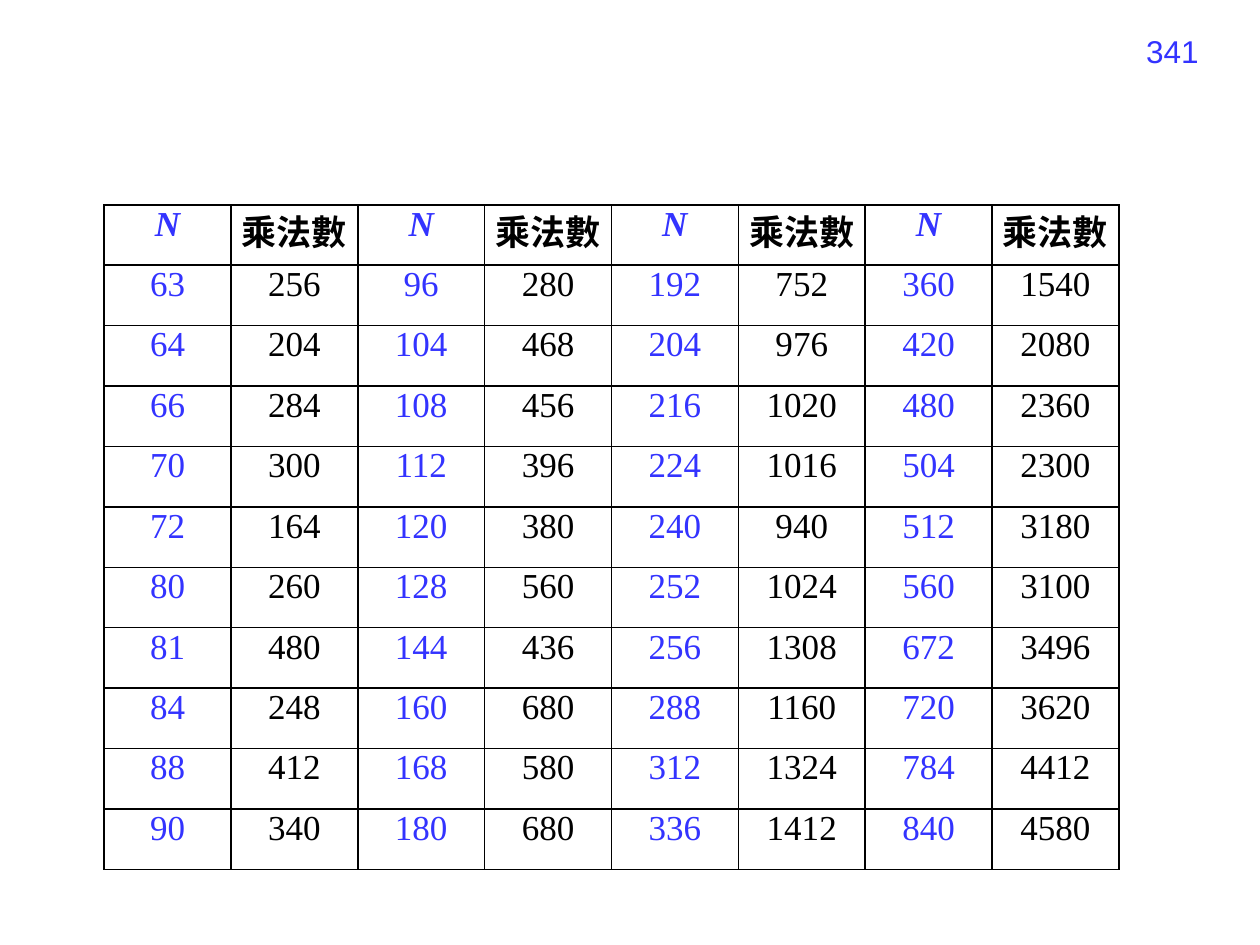
from lxml.etree import SubElement
from pptx import Presentation
from pptx.dml.color import RGBColor
from pptx.enum.text import MSO_ANCHOR, PP_ALIGN
from pptx.oxml.ns import qn
from pptx.util import Pt

BLUE = RGBColor(0x33, 0x33, 0xFF)
BLACK = RGBColor(0, 0, 0)

PAIRS_PER_ROW = 4
# Each group lists (N, number of multiplications) from top to bottom.
GROUPS = [
    [(63, 256), (64, 204), (66, 284), (70, 300), (72, 164),
     (80, 260), (81, 480), (84, 248), (88, 412), (90, 340)],
    [(96, 280), (104, 468), (108, 456), (112, 396), (120, 380),
     (128, 560), (144, 436), (160, 680), (168, 580), (180, 680)],
    [(192, 752), (204, 976), (216, 1020), (224, 1016), (240, 940),
     (252, 1024), (256, 1308), (288, 1160), (312, 1324), (336, 1412)],
    [(360, 1540), (420, 2080), (480, 2360), (504, 2300), (512, 3180),
     (560, 3100), (672, 3496), (720, 3620), (784, 4412), (840, 4580)],
]


class SlideBuilder:
    number_font = "Arial"
    table_font = "Times New Roman"
    number_size = Pt(18)
    table_size = Pt(20)
    border_width = Pt(1)
    side_margin = Pt(3.6)

    def __init__(self, page):
        self.page = page

    def add_span(self, para, text, font, size, color, bold=False, italic=False):
        span = para.add_run()
        span.text = text
        span.font.name = font
        span.font.size = size
        span.font.color.rgb = color
        span.font.bold = bold
        span.font.italic = italic

    def page_number(self, text, left, top, width, height):
        box = self.page.shapes.add_textbox(left, top, width, height)
        box.text_frame.word_wrap = True
        para = box.text_frame.paragraphs[0]
        para.alignment = PP_ALIGN.RIGHT
        self.add_span(para, text, self.number_font, self.number_size, BLUE)

    def border(self, cell):
        properties = cell._tc.get_or_add_tcPr()
        for position, side in enumerate(("a:lnL", "a:lnR", "a:lnT", "a:lnB")):
            line = SubElement(properties, qn(side), w=str(self.border_width))
            fill = SubElement(line, qn("a:solidFill"))
            SubElement(fill, qn("a:srgbClr"), val=str(BLACK))
            # Borders must come before the cell's fill.
            properties.insert(position, line)

    def cell(self, cell, text, color, bold, italic):
        cell.margin_left = cell.margin_right = self.side_margin
        cell.margin_top = cell.margin_bottom = 0
        cell.vertical_anchor = MSO_ANCHOR.TOP
        cell.fill.background()
        self.border(cell)
        para = cell.text_frame.paragraphs[0]
        para.alignment = PP_ALIGN.CENTER
        self.add_span(para, text, self.table_font, self.table_size, color, bold, italic)

    def table(self, rows, left, top, column_width, row_height):
        """Draw rows of alternating N and count columns under a bold header."""
        row_count, column_count = len(rows), len(rows[0])
        table = self.page.shapes.add_table(
            row_count, column_count, left, top,
            column_width * column_count, row_height * row_count).table
        table.first_row = table.horz_banding = False
        for column in table.columns:
            column.width = column_width
        for row_index, values in enumerate(rows):
            table.rows[row_index].height = row_height
            is_header = row_index == 0
            for column_index, value in enumerate(values):
                is_n = column_index % 2 == 0
                self.cell(table.cell(row_index, column_index), str(value),
                          BLUE if is_n else BLACK,
                          bold=is_header, italic=is_header and is_n)


def main():
    deck = Presentation()
    deck.slide_width, deck.slide_height = Pt(720), Pt(540)
    blank_layout = deck.slide_layouts[6]
    builder = SlideBuilder(deck.slides.add_slide(blank_layout))

    builder.page_number("341", Pt(524), Pt(15), Pt(168), Pt(37.5))
    header = ["N", "乘法數"] * PAIRS_PER_ROW
    body = [[value for pair in pairs for value in pair] for pairs in zip(*GROUPS)]
    builder.table([header] + body, Pt(59.5), Pt(117), Pt(72.5), Pt(34.55))

    deck.save("out.pptx")


if __name__ == "__main__":
    main()
